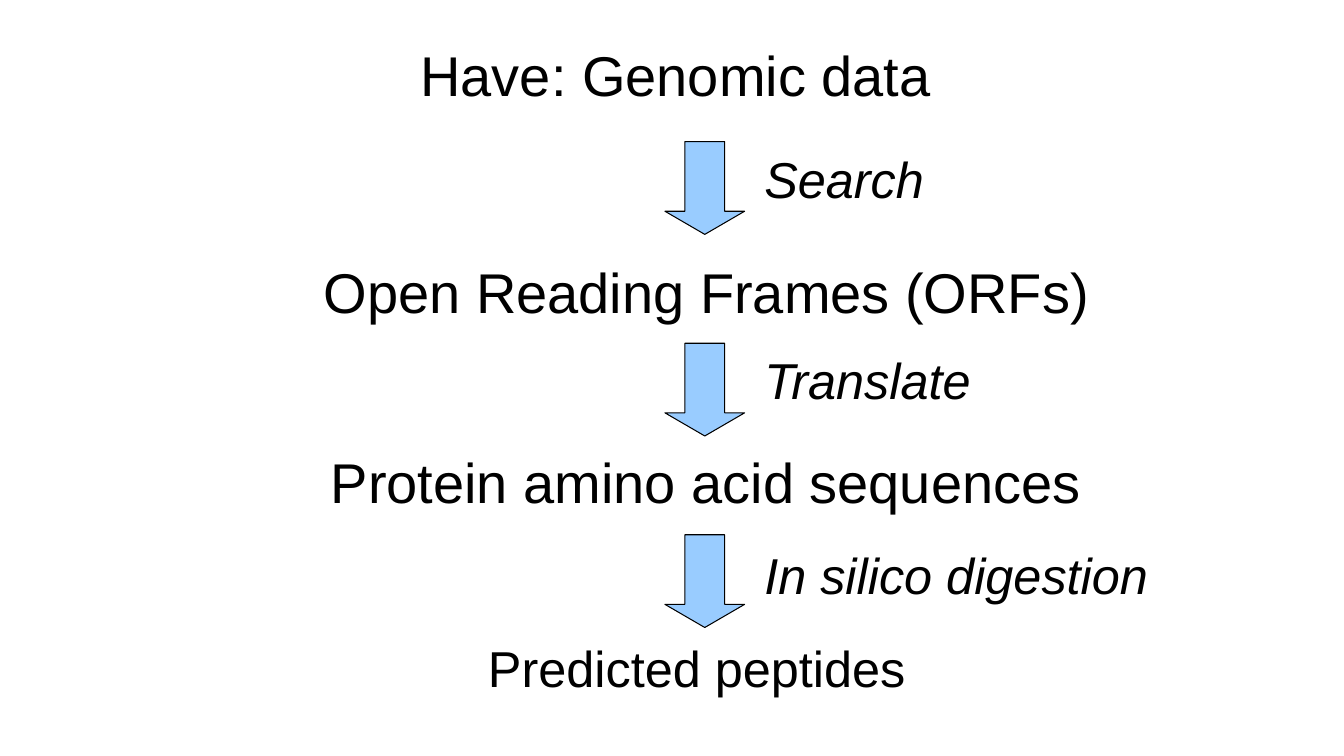
from pptx import Presentation
from pptx import util as u
from pptx.dml.color import RGBColor
from pptx.enum import shapes, text

deck = Presentation()
deck.slide_width = u.Inches(13.33)
deck.slide_height = u.Inches(7.5)
page = deck.slides.add_slide(deck.slide_layouts[6])


def color(value):
    return RGBColor.from_string(value)


def add_text(words, left, top, width, height, size=40, italic=False, wrap=False):
    box = page.shapes.add_textbox(*map(u.Inches, (left, top, width, height)))
    frame = box.text_frame
    frame.word_wrap = wrap
    frame.vertical_anchor = text.MSO_ANCHOR.TOP
    frame.margin_left = frame.margin_right = u.Inches(0.09)
    frame.margin_top = frame.margin_bottom = u.Inches(0.04)
    para = frame.paragraphs[0]
    para.line_spacing = 0.93
    span = para.add_run()
    span.text = words
    span.font.name = "Arial"
    span.font.size = u.Pt(size)
    span.font.italic = italic
    span.font.color.rgb = color("000000")


# Data at each stage: words, left, top, width, height, size
stages = [
    ("Have: Genomic data", 4.08, 0.42, 5.28, 0.71, 40),
    ("Open Reading Frames (ORFs)", 3.12, 2.57, 7.82, 0.71, 40),
    ("Protein amino acid sequences", 3.19, 4.46, 7.66, 0.71, 40),
    ("Predicted peptides", 4.75, 6.33, 4.67, 0.65, 36),
]
for words, left, top, width, height, size in stages:
    add_text(words, left, top, width, height, size=size)

# Steps between stages: words, arrow top, label top, label width
steps = [
    ("Search", 1.47, 1.48, 3.26),
    ("Translate", 3.47, 3.48, 3.26),
    ("In silico digestion", 5.37, 5.41, 4.18),
]
for words, arrow_top, label_top, label_width in steps:
    arrow = page.shapes.add_shape(
        shapes.MSO_SHAPE.RIGHT_ARROW,
        u.Inches(6.53), u.Inches(arrow_top), u.Inches(0.92), u.Inches(0.79))
    arrow.rotation = 90
    arrow.adjustments[0] = 0.5
    arrow.adjustments[1] = 0.29
    arrow.shadow.inherit = False
    arrow.fill.solid()
    arrow.fill.fore_color.rgb = color("99CCFF")
    arrow.line.color.rgb = color("000000")
    arrow.line.width = u.Pt(0.75)
    add_text(words, 7.49, label_top, label_width, 0.65,
             size=36, italic=True, wrap=True)

deck.save("out.pptx")
